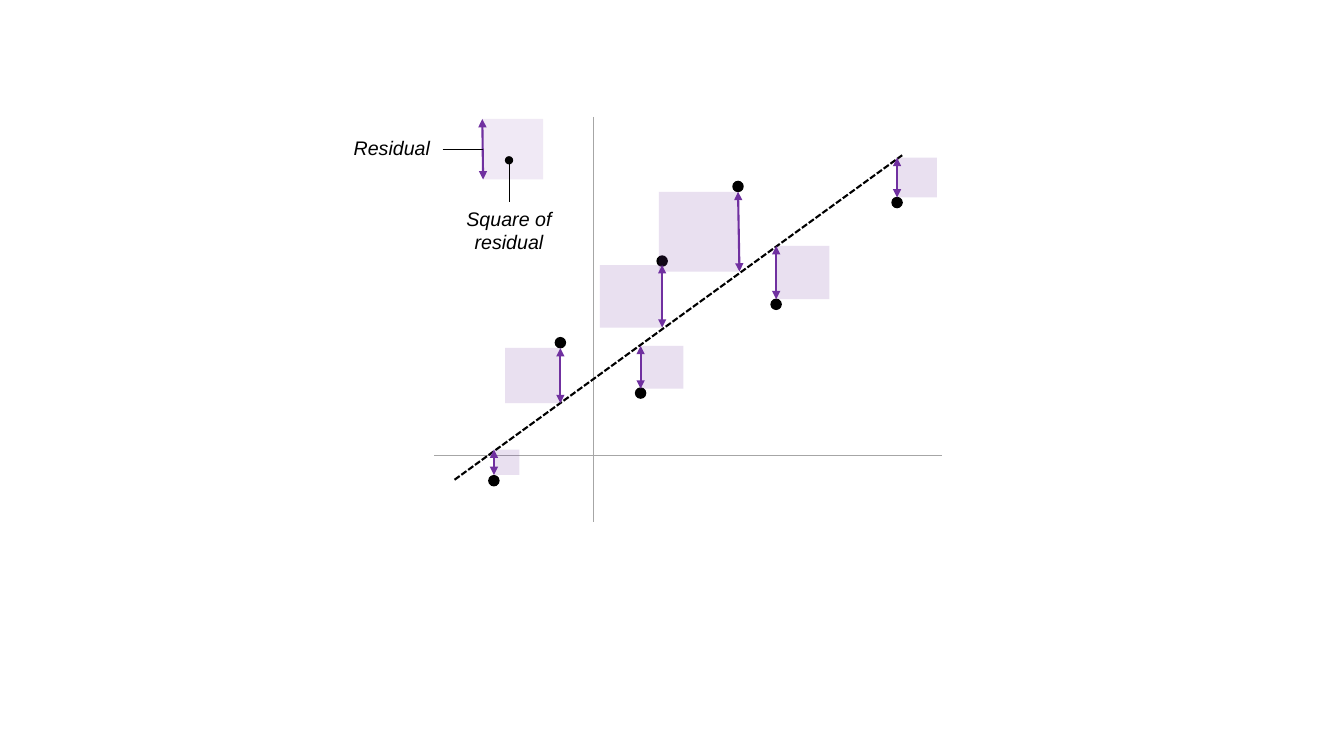
"""Build a slide explaining least squares: residuals drawn as arrows and squares."""
from lxml.etree import SubElement
from pptx import Presentation
from pptx.dml.color import RGBColor
from pptx.enum.dml import MSO_LINE
from pptx.enum.shapes import MSO_CONNECTOR, MSO_SHAPE
from pptx.enum.text import MSO_AUTO_SIZE, PP_ALIGN
from pptx.oxml.ns import qn
from pptx.util import Pt

BLACK, GRAY, PURPLE = "000000", "A6A6A6", "7030A0"
DOT_SIZE = 7.2
AXES = [(310.3, 325.4, 673.2, 325.4), (424.1, 83.5, 424.1, 373)]
FIT_LINE = (324.7, 342.7, 644.4, 110.9)
# x, dot centre y, residual top, residual bottom, lean of arrow, side of square
RESIDUALS = [
    (352.8, 343.4, 321.1, 339.3, 0, "right"),
    (400.3, 244.8, 248.6, 288, 0, "left"),
    (473, 186.5, 189.4, 234, 0, "left"),
    (527.2, 133.2, 137, 194, 1, "left"),
    (457.6, 280.8, 247, 277.6, 0, "right"),
    (554.4, 217.4, 175.7, 213.8, 0, "right"),
    (640.8, 144.7, 112.7, 141.1, 0, "right"),
]
LEGEND = (344.5, 85, 128.2, 0.6, "right")
LABELS = [
    ("Residual", 245.5, 93.6, 24.5, PP_ALIGN.LEFT),
    ("Square of residual", 319.7, 144, 41, PP_ALIGN.CENTER),
]


def color(value):
    return RGBColor.from_string(value)


def add_line(shapes, ends, hue, width, head=None, tail=None):
    line = shapes.add_connector(MSO_CONNECTOR.STRAIGHT, *map(Pt, ends))
    line.line.color.rgb = color(hue)
    line.line.width = Pt(width)
    outline = line.line._get_or_add_ln()
    for tag, kind in (("a:headEnd", head), ("a:tailEnd", tail)):
        if kind:
            SubElement(outline, qn(tag), type=kind)
    SubElement(line._element.spPr, qn("a:effectLst"))
    return line


def add_filled(shapes, kind, left, top, size, hue, opacity=100):
    shape = shapes.add_shape(kind, Pt(left), Pt(top), Pt(size), Pt(size))
    shape.shadow.inherit = False
    shape.fill.solid()
    shape.fill.fore_color.rgb = color(hue)
    shape.line.fill.background()
    if opacity < 100:
        hue_element = shape._element.spPr.find(".//" + qn("a:srgbClr"))
        SubElement(hue_element, qn("a:alpha"), val=str(opacity * 1000))
    return shape


def add_dot(shapes, x, y):
    half = DOT_SIZE / 2
    dot = add_filled(shapes, MSO_SHAPE.OVAL, x - half, y - half, DOT_SIZE, BLACK)
    dot.line.color.rgb = color(BLACK)
    dot.line.width = Pt(1)


def add_residual(shapes, x, top, bottom, lean, side, opacity):
    size = bottom - top
    add_line(shapes, (x, top, x + lean, bottom), PURPLE, 1.5, "triangle", "triangle")
    left = x + lean / 2 - (size if side == "left" else 0)
    return add_filled(shapes, MSO_SHAPE.RECTANGLE, left, top, size, PURPLE, opacity)


def add_label(shapes, text, left, top, height, align):
    box = shapes.add_textbox(Pt(left), Pt(top), Pt(87.8), Pt(height))
    frame = box.text_frame
    frame.word_wrap = True
    frame.auto_size = MSO_AUTO_SIZE.SHAPE_TO_FIT_TEXT
    para = frame.paragraphs[0]
    para.alignment = align
    span = para.add_run()
    span.text = text
    span.font.name = "Arial"
    span.font.size = Pt(14)
    span.font.italic = True
    span.font.color.rgb = color(BLACK)
    return box


def main():
    deck = Presentation()
    deck.slide_width, deck.slide_height = Pt(960), Pt(540)
    page = deck.slides.add_slide(deck.slide_layouts[6])
    shapes = page.shapes

    for axis in AXES:
        add_line(shapes, axis, GRAY, 0.5)
    for x, dot_y, *_ in RESIDUALS:
        add_dot(shapes, x, dot_y)
    fit = add_line(shapes, FIT_LINE, BLACK, 1.5)
    fit.line.dash_style = MSO_LINE.SQUARE_DOT
    for x, _, *residual in RESIDUALS:
        add_residual(shapes, x, *residual, 15)

    legend = shapes.add_group_shape()
    legend_square = add_residual(legend.shapes, *LEGEND, 10)
    _, square_label = [add_label(shapes, *label) for label in LABELS]
    residual_pointer = add_line(shapes, (316.1, 106.6, 344.5, 106.6), BLACK, 0.5)
    residual_pointer.end_connect(legend_square, 1)
    square_pointer = add_line(shapes, (363.6, 144, 363.6, 114.5), BLACK, 0.5, tail="oval")
    square_pointer.begin_connect(square_label, 0)

    deck.save("out.pptx")


if __name__ == "__main__":
    main()
